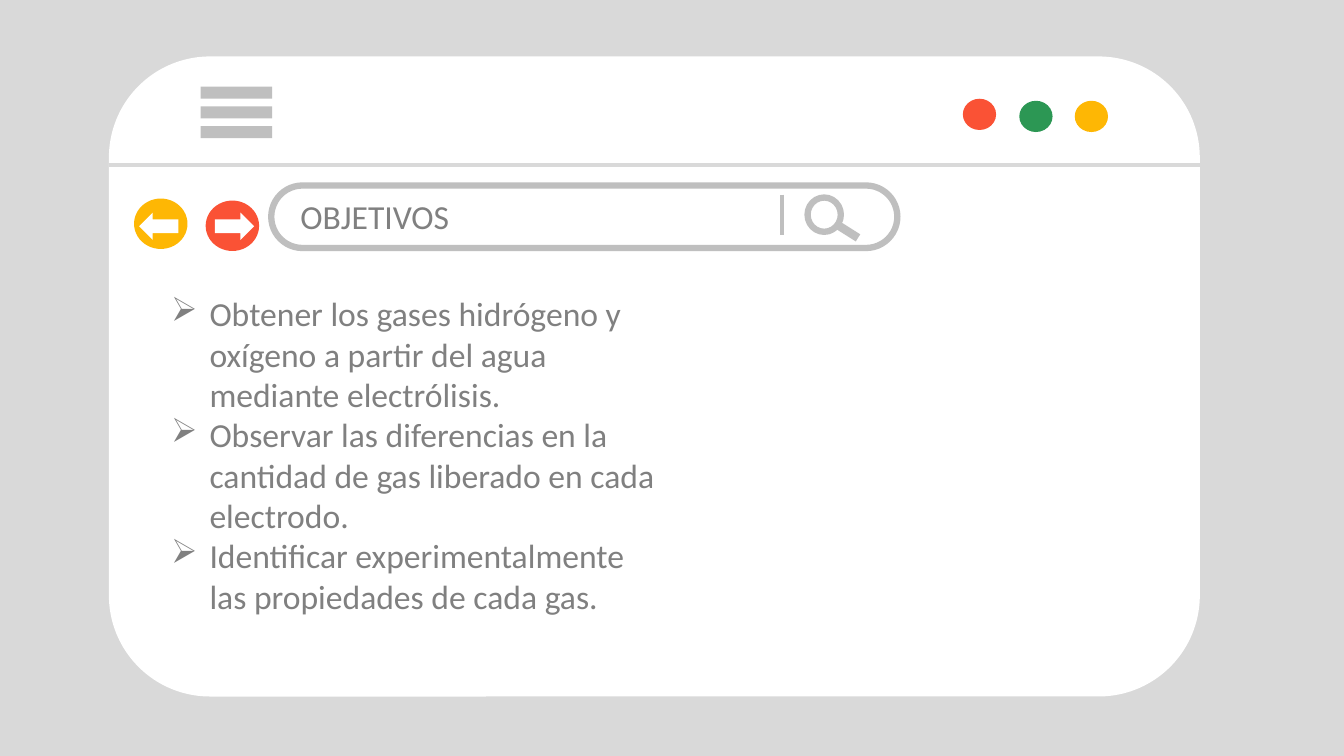
from lxml import etree
from pptx import Presentation
from pptx.dml.color import RGBColor
from pptx.enum.shapes import MSO_CONNECTOR as CONNECTOR, MSO_SHAPE as SHAPE
from pptx.enum.text import MSO_ANCHOR as ANCHOR, MSO_AUTO_SIZE as AUTO_SIZE, PP_ALIGN as ALIGN
from pptx.oxml.ns import qn
from pptx.util import Inches, Pt

BACKGROUND = RGBColor(0xD9, 0xD9, 0xD9)
WHITE = RGBColor(0xFF, 0xFF, 0xFF)
GRAY = RGBColor(0xBF, 0xBF, 0xBF)
TEXT_GRAY = RGBColor(0x80, 0x80, 0x80)
RED = RGBColor(0xFA, 0x52, 0x35)
GREEN = RGBColor(0x2C, 0x97, 0x54)
YELLOW = RGBColor(0xFE, 0xB7, 0x04)

OBJECTIVES = [
    "Obtener los gases hidrógeno y oxígeno a partir del agua mediante electrólisis.",
    "Observar las diferencias en la cantidad de gas liberado en cada electrodo.",
    "Identificar experimentalmente las propiedades de cada gas.",
]


def add_shape(slide, kind, box, fill=None, line=None, width=4.5):
    shape = slide.shapes.add_shape(kind, *map(Inches, box))
    shape.shadow.inherit = False
    if fill is None:
        shape.fill.background()
    else:
        shape.fill.solid()
        shape.fill.fore_color.rgb = fill
    if line is None:
        shape.line.fill.background()
    else:
        shape.line.color.rgb = line
        shape.line.width = Pt(width)
    return shape


def add_line(slide, start, end, color, width):
    line = slide.shapes.add_connector(CONNECTOR.STRAIGHT, *map(Inches, start + end))
    line.line.color.rgb = color
    line.line.width = Pt(width)
    etree.SubElement(line._element.spPr, qn("a:effectLst"))


def format_paragraph(paragraph):
    paragraph.alignment = ALIGN.LEFT
    paragraph.line_spacing = 1.0
    for run in paragraph.runs:
        run.font.name = "Calibri"
        run.font.size = Pt(24)
        run.font.color.rgb = TEXT_GRAY


def add_bullet(paragraph):
    properties = paragraph._p.get_or_add_pPr()
    properties.set("marL", str(Inches(0.38)))
    properties.set("indent", str(-Inches(0.38)))
    etree.SubElement(properties, qn("a:buChar")).set("char", "➢")


def add_window(slide):
    card = add_shape(slide, SHAPE.ROUNDED_RECTANGLE, (1.08, 0.56, 10.82, 6.35), WHITE)
    card.adjustments[0] = 0.158
    add_line(slide, (1.08, 1.64), (11.9, 1.64), BACKGROUND, 3)
    # Menu bars and window buttons
    for row in range(3):
        add_shape(slide, SHAPE.RECTANGLE, (1.99, 0.86 + 0.195 * row, 0.71, 0.12), GRAY)
    for left, top, color in [(9.55, 0.98, RED), (10.11, 1, GREEN), (10.66, 1, YELLOW)]:
        add_shape(slide, SHAPE.OVAL, (left, top, 0.33, 0.31), color)


def add_search_bar(slide):
    add_line(slide, (8.32, 2.24), (8.51, 2.36), GRAY, 6)
    bar = add_shape(slide, SHAPE.ROUNDED_RECTANGLE, (2.69, 1.84, 6.21, 0.62), line=GRAY)
    bar.adjustments[0] = 0.5
    add_shape(slide, SHAPE.OVAL, (8.01, 1.96, 0.33, 0.34), line=GRAY)
    add_line(slide, (7.76, 1.93), (7.76, 2.33), GRAY, 3)


def place_title(slide, text, box):
    title = slide.shapes.title
    title.left, title.top, title.width, title.height = map(Inches, box)
    text_frame = title.text_frame
    text_frame.text = text
    text_frame.word_wrap = True
    text_frame.auto_size = AUTO_SIZE.NONE
    text_frame.vertical_anchor = ANCHOR.TOP
    format_paragraph(text_frame.paragraphs[0])
    # Bring the title in front of the window
    slide.shapes._spTree.append(title._element)


def add_objectives(slide, box):
    text_frame = slide.shapes.add_textbox(*map(Inches, box)).text_frame
    text_frame.word_wrap = True
    text_frame.text = "\n".join(OBJECTIVES)
    for paragraph in text_frame.paragraphs:
        format_paragraph(paragraph)
        add_bullet(paragraph)


def add_navigation_button(slide, left, top, color, arrow_left, rotation):
    add_shape(slide, SHAPE.OVAL, (left, top, 0.53, 0.5), color)
    arrow = add_shape(slide, SHAPE.RIGHT_ARROW, (arrow_left, 2.11, 0.39, 0.27), WHITE)
    arrow.rotation = rotation


def main():
    presentation = Presentation()
    presentation.slide_width = Inches(13.33)
    presentation.slide_height = Inches(7.5)
    slide = presentation.slides.add_slide(presentation.slide_layouts[5])
    slide.background.fill.solid()
    slide.background.fill.fore_color.rgb = BACKGROUND

    add_window(slide)
    add_search_bar(slide)
    place_title(slide, "OBJETIVOS", (2.88, 1.89, 3.22, 0.5))
    add_objectives(slide, (1.6, 2.86, 5.06, 3.33))
    add_navigation_button(slide, 2.04, 1.99, RED, 2.13, 0)
    add_navigation_button(slide, 1.33, 1.97, YELLOW, 1.38, 180)

    presentation.save("out.pptx")


main()
